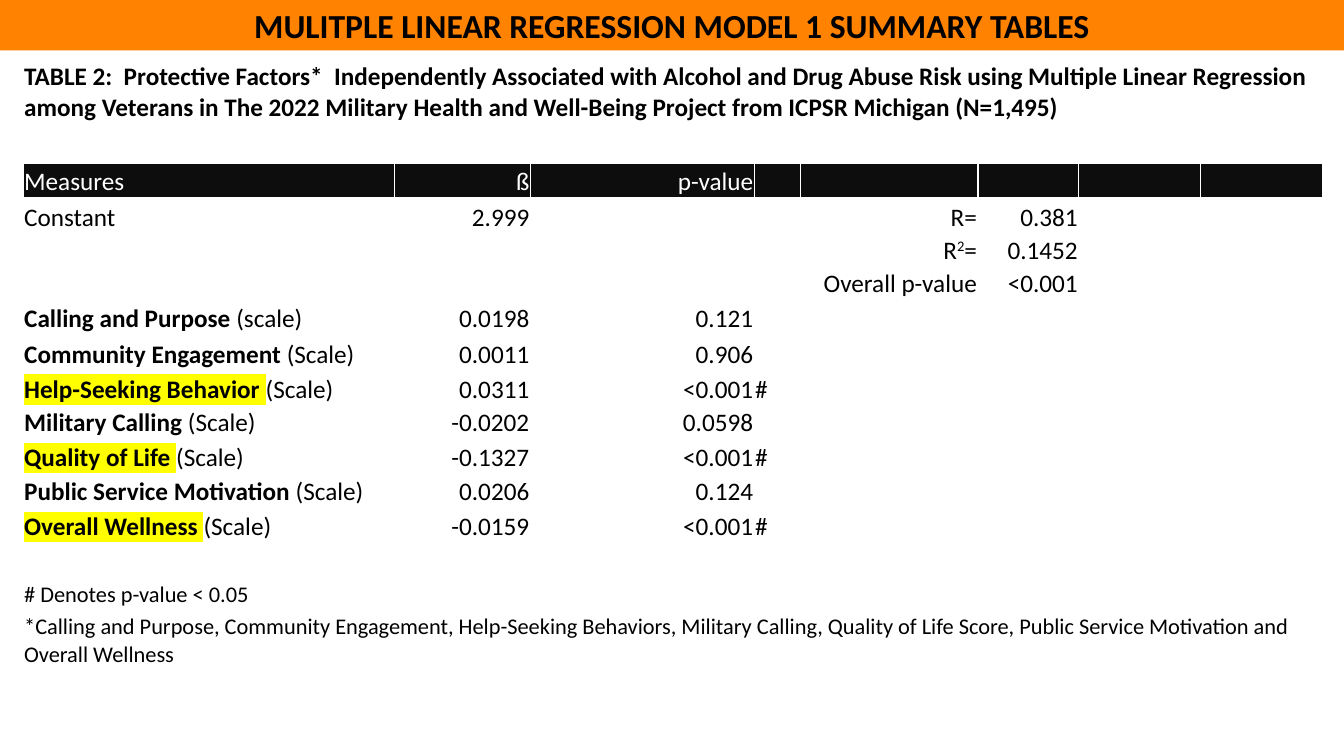
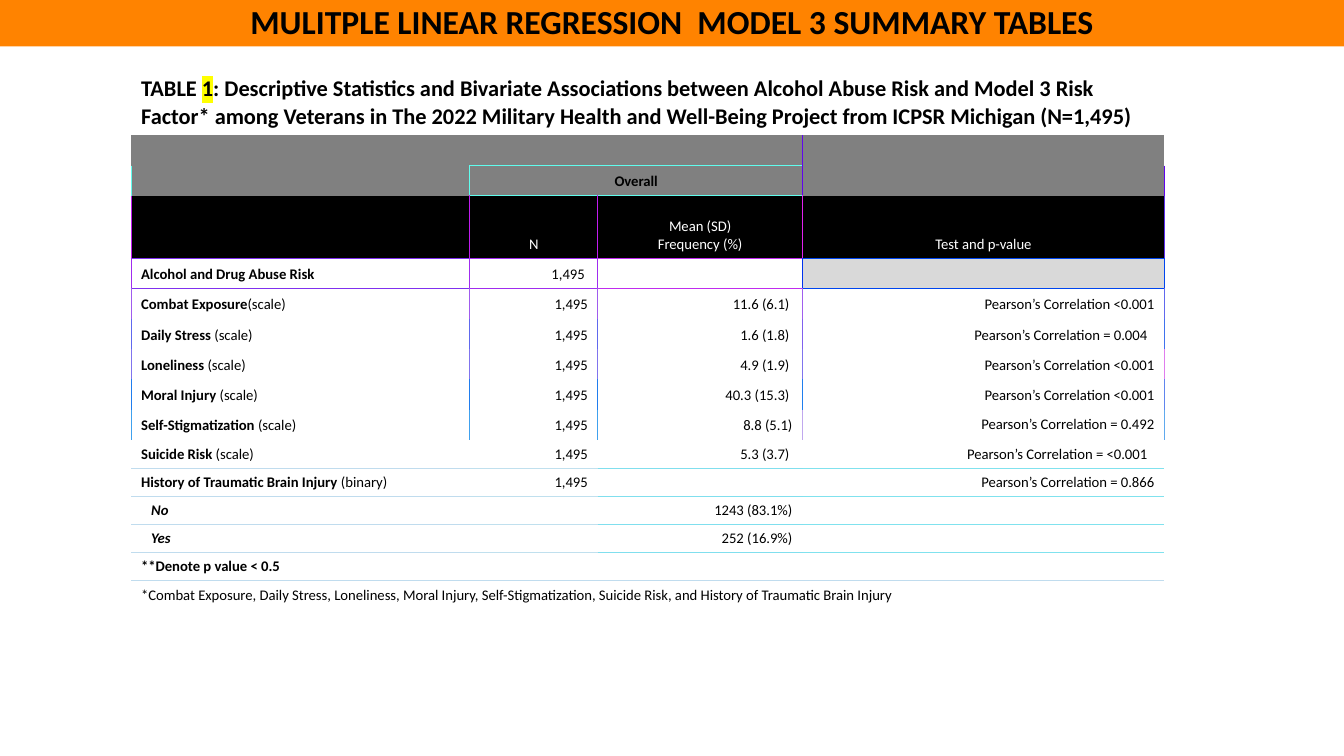
import pptx
import pptx.chart.data
import pptx.dml.color
import pptx.enum.shapes
import pptx.enum.text
import pptx.oxml
import pptx.oxml.ns
import pptx.util
from lxml import etree

Inches, Pt = pptx.util.Inches, pptx.util.Pt
RGBColor = pptx.dml.color.RGBColor
qn = pptx.oxml.ns.qn
ALIGN = pptx.enum.text.PP_ALIGN
ANCHOR = pptx.enum.text.MSO_ANCHOR

ORANGE = RGBColor(0xFF, 0x83, 0x00)
BLACK = RGBColor(0x00, 0x00, 0x00)
INK = RGBColor(0x0D, 0x0D, 0x0D)
WHITE = RGBColor(0xFF, 0xFF, 0xFF)
GRAY = RGBColor(0x80, 0x80, 0x80)
SILVER = RGBColor(0xD9, 0xD9, 0xD9)
YELLOW = RGBColor(0xFF, 0xFF, 0x00)
FONT = "Calibri"
PLAIN = "{2D5ABB26-0587-4C30-8999-92F81FD0307C}"
LEFT, MID, RIGHT = ALIGN.LEFT, ALIGN.CENTER, ALIGN.RIGHT


def tints(*codes):
    return [RGBColor.from_string(code) if code else None for code in codes]


# Upright rules by row: left edge, after column 0, after column 2, right edge
UPRIGHT = {
    1: tints("", "", "6006EF", ""),
    2: tints("60FDEE", "60FDEE", "6002EF", ""),
    3: tints("C01CEF", "C01CEF", "E022EF", "6030EF"),
    4: tints("A02CEF", "A02CEF", "0032EF", "0045EF"),
    5: tints("A05BEE", "A05BEE", "A05FEE", "6068EE"),
    6: tints("6068EE", "6068EE", "8061EE", "4072EE"),
    7: tints("8074EE", "8074EE", "8074EE", "E07DEE"),
    8: tints("207DEE", "207DEE", "207EEE", "6085EE"),
    9: tints("40A1EE", "40A1EE", "C0A8EE", "60A9EE"),
}
# Rules below a row, by column
BELOW = {
    1: tints("", "60FDEE", "60FDEE", ""),
    3: tints("8030EF", "A02CEF", "C02CEF", "0045EF"),
}
BELOW.update(dict.fromkeys(
    range(10, 15), tints("C0DCEE", "C0E0EE", "80DFEE", "80E2EE")))


def write(frame, text, size=18, align=LEFT, indent=0, **style):
    """Fill a frame with a string, or with a list of (string, style) runs."""
    lines = [[(s, {})] for s in text.split("\n")] if isinstance(text, str) else [text]
    for i, line in enumerate(lines):
        para = frame.add_paragraph() if i else frame.paragraphs[0]
        para.alignment = align
        if indent:
            para._p.get_or_add_pPr().set("marL", str(Inches(indent)))
        for words, extra in line:
            if words:
                add_run(para, words, size, **{**style, **extra})
        if not para.runs:
            etree.SubElement(para._p, qn("a:endParaRPr"), sz=str(size * 50))


def add_run(para, words, size, color=BLACK, bold=False, ital=False, mark=None, sup=False):
    run = para.add_run()
    run.text = words
    font = run.font
    font.size, font.bold, font.italic, font.name = Pt(size), bold, ital, FONT
    font.color.rgb = color
    props = font._element
    if sup:
        props.set("baseline", "30000")
    if mark is not None:
        light = etree.Element(qn("a:highlight"))
        etree.SubElement(light, qn("a:srgbClr"), val=str(mark))
        props.find(qn("a:solidFill")).addnext(light)


def add_band(slide, text, top=0.0):
    band = slide.shapes.add_shape(
        pptx.enum.shapes.MSO_SHAPE.RECTANGLE, 0, Inches(top), Inches(13.33), Inches(0.5))
    band.shadow.inherit = False
    band.fill.solid()
    band.fill.fore_color.rgb = ORANGE
    band.line.fill.background()
    band.text_frame.word_wrap = True
    write(band.text_frame, text, size=24, align=MID, bold=True)


def add_grid(slide, left, top, cols, rows):
    frame = slide.shapes.add_table(
        len(rows), len(cols), Inches(left), Inches(top),
        Inches(sum(cols)), Inches(sum(rows)))
    grid = frame.table
    grid.first_row = grid.horz_banding = False
    grid._tbl.tblPr.find(qn("a:tableStyleId")).text = PLAIN
    for col, width in zip(grid.columns, cols):
        col.width = Inches(width)
    for row, height in zip(grid.rows, rows):
        row.height = Inches(height)
    return grid


def set_cell(cell, text="", fill=WHITE, edges=None, width=0.75,
             pads=(0.1, 0.05, 0.1, 0.05), anchor=ANCHOR.BOTTOM, **style):
    """Set text, fill, padding and edges, a dict of side letter to colour."""
    cell.margin_left, cell.margin_top, cell.margin_right, cell.margin_bottom = map(Inches, pads)
    cell.vertical_anchor = anchor
    props = cell._tc.get_or_add_tcPr()
    for side in "LRTB":
        if edges and edges.get(side) is not None:
            line = etree.SubElement(props, qn("a:ln" + side), w=str(Pt(width)))
            paint = etree.SubElement(line, qn("a:solidFill"))
            etree.SubElement(paint, qn("a:srgbClr"), val=str(edges[side]))
    cell.fill.solid()
    cell.fill.fore_color.rgb = fill
    write(cell.text_frame, text, **style)


def label(name, note, mark=None):
    return [(name, {"bold": True, "mark": mark}), (note, {})]


def add_model(slide):
    """Regression results with the fit of the model at the right."""
    title = ("TABLE 2:  Protective Factors*  Independently Associated with Alcohol and Drug "
             "Abuse Risk using Multiple Linear Regression among Veterans in The 2022 Military "
             "Health and Well-Being Project from ICPSR Michigan (N=1,495)")
    note = ("*Calling and Purpose, Community Engagement, Help-Seeking Behaviors, Military "
            "Calling, Quality of Life Score, Public Service Motivation and Overall Wellness")
    square = [("R", {}), ("2", {"sup": True}), ("=", {})]
    data = [
        [title],
        ["Measures", "ß", "p-value"],
        ["Constant", "2.999", "", "", "R=", "0.381"],
        ["", "", "", "", square, "0.1452"],
        ["", "", "", "", "Overall p-value", "<0.001"],
        [label("Calling and Purpose ", "(scale)"), "0.0198", "0.121"],
        [label("Community Engagement ", "(Scale)"), "0.0011", "0.906"],
        [label("Help-Seeking Behavior ", "(Scale)", YELLOW), "0.0311", "<0.001", "#"],
        [label("Military Calling ", "(Scale)"), "-0.0202", "0.0598"],
        [label("Quality of Life ", "(Scale)", YELLOW), "-0.1327", "<0.001", "#"],
        [label("Public Service Motivation ", "(Scale)"), "0.0206", "0.124"],
        [label("Overall Wellness ", "(Scale)", YELLOW), "-0.0159", "<0.001", "#"],
        [],
        ["# Denotes p-value < 0.05"],
        [note],
    ]
    cols = [3.68, 1.35, 2.22, 0.46, 1.76, 1, 1.21, 1.21]
    rows = [1.02, 0.34, 0.35, 0.33, 0.33, 0.35, 0.35, 0.35,
            0.33, 0.35, 0.33, 0.35, 0.33, 0.33, 0.59]
    grid = add_grid(slide, 0.23, 0.6, cols, rows)
    last = len(rows) - 1
    for r in (0, last):
        grid.cell(r, 0).merge(grid.cell(r, len(cols) - 1))
    for r, row in enumerate(data):
        for c in range(len(cols)):
            head = r == 1
            set_cell(grid.cell(r, c), row[c] if c < len(row) else "",
                     fill=INK if head else WHITE, color=WHITE if head else BLACK,
                     edges=dict.fromkeys("LRTB", WHITE), width=1,
                     pads=(0.01, 0.01, 0.01, 0),
                     anchor=ANCHOR.BOTTOM if r else ANCHOR.TOP,
                     size=16 if r >= last - 1 else 18, bold=r == 0,
                     align=LEFT if c in (0, 3) else RIGHT)


def rules(r, c):
    """Coloured edges of one cell of the descriptive table."""
    left, first, split, right = UPRIGHT.get(r, [None] * 4)
    edges = [{"L": left, "R": first}, {"L": first},
             {"R": split}, {"L": split, "R": right}][c]
    none = [None] * 4
    return {**edges, "T": BELOW.get(r - 1, none)[c], "B": BELOW.get(r, none)[c]}


def add_stats(slide):
    """Descriptive statistics and tests by risk factor."""
    title = [("TABLE ", {}), ("1", {"mark": YELLOW}),
             (": Descriptive Statistics and Bivariate Associations between Alcohol Abuse Risk "
              "and Model 3 Risk Factor* among Veterans in The 2022 Military Health and "
              "Well-Being Project from ICPSR Michigan (N=1,495)", {})]
    note = ("*Combat Exposure, Daily Stress, Loneliness, Moral Injury, Self-Stigmatization, "
            "Suicide Risk, and History of Traumatic Brain Injury")
    test = "Pearson’s Correlation "
    count = "1,495"
    strong = {"bold": True}
    data = [
        [title],
        [],
        ["", "Overall"],
        ["", "N", "Mean (SD)\nFrequency (%)", "Test and p-value"],
        [label("Alcohol and Drug Abuse Risk", ""), count],
        [label("Combat Exposure", "(scale)"), count, "11.6 (6.1)", test + "<0.001"],
        [label("Daily Stress ", "(scale)"), count, "1.6 (1.8)", test + "= 0.004"],
        [label("Loneliness ", "(scale)"), count, "4.9 (1.9)", test + "<0.001"],
        [label("Moral Injury ", "(scale)"), count, "40.3 (15.3)", test + "<0.001"],
        [label("Self-Stigmatization ", "(scale)"), count, "8.8 (5.1)", test + "= 0.492"],
        [label("Suicide Risk ", "(scale)"), count, "5.3 (3.7)", test + "= <0.001"],
        [label("History of Traumatic Brain Injury ", "(binary)"), count, "", test + "= 0.866"],
        [[("No", {"bold": True, "ital": True})], "", "1243 (83.1%)"],
        [[("Yes", {"bold": True, "ital": True})], "", "252 (16.9%)"],
        [[("**Denote p value < 0.5", strong)]],
        [note],
    ]
    cols = [3.36, 1.27, 2.03, 3.59]
    rows = [0.64, 0.3, 0.3, 0.62] + [0.3] * 6 + [0.28] * 6
    grid = add_grid(slide, 1.3, 0.7, cols, rows)
    for r in (0, len(rows) - 1):
        grid.cell(r, 0).merge(grid.cell(r, 3))
    grid.cell(2, 1).merge(grid.cell(2, 2))
    fills = {1: GRAY, 2: GRAY, 3: BLACK}
    inset = {(4, 1): 0.13, (6, 3): 0.17, (10, 3): 0.17}
    inset.update({(r, 2): 0.13 for r in (5, 6, 7, 8, 10)})
    for r, row in enumerate(data):
        for c in range(len(cols)):
            set_cell(grid.cell(r, c), row[c] if c < len(row) else "",
                     fill=SILVER if (r, c) == (4, 3) else fills.get(r, WHITE),
                     edges=rules(r, c), color=WHITE if r == 3 else BLACK,
                     pads=(0.1, 0.05, inset.get((r, c), 0.1), 0.05),
                     size=10.5 if r else 16, bold=r in (0, 2),
                     indent=0.1 if r in (12, 13) and c == 0 else 0,
                     align=LEFT if c == 0 else MID if r < 4 else RIGHT,
                     anchor=ANCHOR.MIDDLE if (r, c) == (9, 3) else ANCHOR.BOTTOM)


def main():
    deck = pptx.Presentation()
    deck.slide_width, deck.slide_height = Inches(13.33), Inches(7.5)
    blank = deck.slide_layouts[6]

    slide = deck.slides.add_slide(blank)
    add_band(slide, "MULITPLE LINEAR REGRESSION MODEL 1 SUMMARY TABLES")
    add_model(slide)

    slide = deck.slides.add_slide(blank)
    add_band(slide, "MULITPLE LINEAR REGRESSION  MODEL 3 SUMMARY TABLES", top=-0.04)
    add_stats(slide)

    deck.save("out.pptx")


if __name__ == "__main__":
    main()
